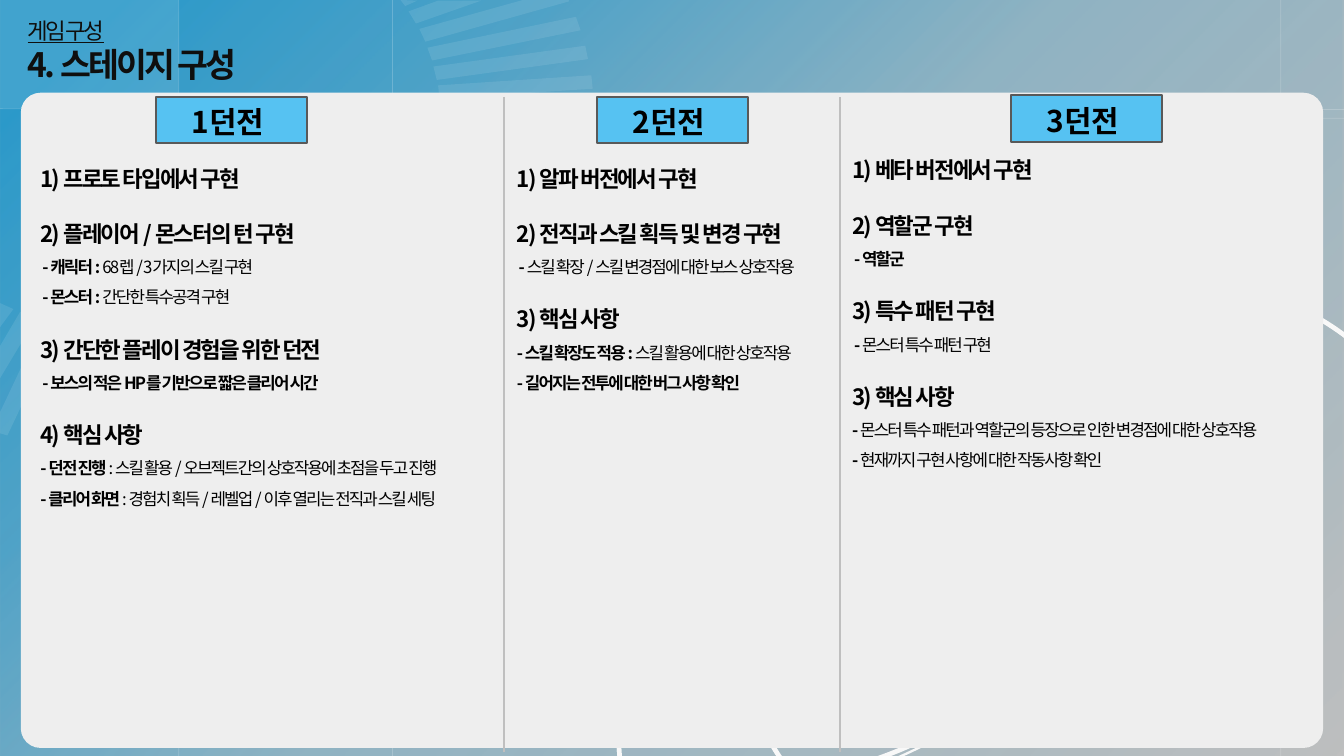
from lxml.etree import SubElement as Sub
from pptx import Presentation
from pptx.dml.color import RGBColor as RGB
from pptx.enum.shapes import MSO_CONNECTOR as Link, MSO_SHAPE as Kind
from pptx.enum.text import MSO_ANCHOR as Anchor, MSO_AUTO_SIZE as Fit, PP_ALIGN as Align
from pptx.oxml.ns import qn
from pptx.util import Inches, Pt

WIDE, HIGH = 20, 11.25
FACE = "Noto Sans CJK KR"
BLACK = RGB(0x00, 0x00, 0x00)
INK = RGB(0x0F, 0x0F, 0x0E)
WHITE = RGB(0xFF, 0xFF, 0xFF)
ICE = RGB(0xF2, 0xFA, 0xFE)
PALE = RGB(0xF8, 0xF8, 0xF8)
PANEL = RGB(0xEE, 0xEE, 0xEE)
GREY = RGB(0xBF, 0xBF, 0xBF)
DARK = RGB(0x59, 0x59, 0x59)
SKY = RGB(0x56, 0xC2, 0xF2)
BLUE = RGB(0x0F, 0x92, 0xCC)

STOPS = [(6, 83), (26, 63), (50, 27), (100, 0)]
RULES = [
    (2.66, 0, 2.66, HIGH), (5.84, 0, 5.84, HIGH), (19.06, 0, 19.06, HIGH),
    (0, 1.62, WIDE, 1.63), (12.66, 1.75, WIDE, 1.76),
]
RAYS = [
    [(5.96, 0), (6.21, 0.01), (6.03, 0.09)],
    [(6.52, 0.01), (7.16, 0.01), (6.19, 0.35), (6.08, 0.17)],
    [(8.39, -0.17), (8.47, 0.02), (6.33, 0.62), (6.24, 0.43)],
    [(8.57, 0.25), (8.64, 0.45), (6.43, 0.9), (6.36, 0.71)],
    [(8.71, 0.68), (8.75, 0.88), (6.5, 1.19), (6.45, 0.99)],
    [(8.8, 1.12), (8.82, 1.32), (6.54, 1.47), (6.52, 1.27)],
    [(0.65, 4.76), (0.89, 4.83), (0.11, 6.48), (-0.13, 6.41)],
    [(0.3, 4.64), (0.54, 4.73), (0, 5.63), (0, 5.15)],
    [(0, 4.51), (0.2, 4.6), (0, 4.87)],
]
ARCS = [
    (5, [(9.61, 12.67), (8.43, 10.29), (9.92, 6.98), (12.98, 5.19),
         (16.04, 3.41), (19.57, 3.78), (20.98, 6.04)]),
    (2, [(9.59, 12.68), (8.41, 10.29), (9.9, 6.99), (12.96, 5.2),
         (16.02, 3.41), (19.56, 3.79), (20.96, 6.05)]),
    (5, [(13.09, 5.03), (10.94, 7.01), (10.39, 9.75), (11.78, 11.51)]),
    (2.25, [(14.29, 4.12), (12.72, 5.09), (11.57, 6.54), (11.16, 8.07),
            (10.75, 9.59), (11.12, 11.02), (12.18, 11.94)]),
    (5, [(11.46, 11.6), (14.66, 11.47), (17.7, 8.35), (18.62, 4.25)]),
    (2.5, [(9.72, 11.56), (11.59, 12.12), (13.7, 11.5), (15.44, 9.89),
           (17.18, 8.29), (18.37, 5.86), (18.68, 3.3)]),
]
TAGS = [("1던전 ", 2.32, 1.44), ("2던전 ", 8.88, 1.44), ("3던전 ", 15.04, 1.42)]
LISTS = [
    ((0.5, 2.2, 7.08, 6.49), [
        ("1) 프로토 타입에서 구현", []),
        ("2) 플레이어 / 몬스터의 턴 구현", [
            (" - 캐릭터 : ", "68렙 / 3가지의 스킬 구현"),
            (" - 몬스터 : ", "간단한 특수공격 구현")]),
        ("3) 간단한 플레이 경험을 위한 던전", [
            (" - 보스의 적은 HP를 기반으로 짧은 클리어 시간", "")]),
        ("4) 핵심 사항", [
            ("- 던전 진행 ", ": 스킬 활용 / 오브젝트간의 상호작용에 초점을 두고 진행"),
            ("- 클리어 화면 ", ": 경험치 획득 / 레벨업 / 이후 열리는 전직과 스킬 세팅")]),
    ]),
    ((7.59, 2.2, 4.99, 4.23), [
        ("1) 알파 버전에서 구현", []),
        ("2) 전직과 스킬 획득 및 변경 구현", [
            (" - ", "스킬 확장 / 스킬 변경점에 대한 보스 상호작용")]),
        ("3) 핵심 사항", [
            ("- 스킬 확장도 적용 : ", "스킬 활용에 대한 상호작용"),
            ("- 길어지는 전투에 대한 버그 사항 확인", "")]),
    ]),
    ((12.58, 2.08, 7.17, 5.46), [
        ("1) 베타 버전에서 구현", []),
        ("2) 역할군 구현", [(" - 역할군", "")]),
        ("3) 특수 패턴 구현", [(" - ", "몬스터 특수 패턴 구현")]),
        ("3) 핵심 사항", [
            ("- ", "몬스터 특수 패턴과 역할군의 등장으로 인한 변경점에 대한 상호작용"),
            ("- ", "현재까지 구현 사항에 대한 작동사항 확인")]),
    ]),
]


def fade(shape, share):
    """Set the opacity of a solid fill or line, in percent."""
    for tone in shape._element.spPr.iter(qn("a:srgbClr")):
        Sub(tone, qn("a:alpha"), val=str(share * 1000))


def block(slide, kind, box, color):
    """Add a plain preset shape without outline."""
    shape = slide.shapes.add_shape(kind, *map(Inches, box))
    shape.shadow.inherit = False
    shape.fill.solid()
    shape.fill.fore_color.rgb = color
    shape.line.fill.background()
    return shape


def wash(slide):
    """Cover the slide with a diagonal fading gradient."""
    shape = block(slide, Kind.RECTANGLE, (0, 0, WIDE, HIGH), BLUE)
    shape.fill.gradient()
    grad = shape._element.spPr.find(qn("a:gradFill"))
    grad.clear()
    stops = Sub(grad, qn("a:gsLst"))
    for place, share in STOPS:
        stop = Sub(stops, qn("a:gs"), pos=str(place * 1000))
        tone = Sub(stop, qn("a:srgbClr"), val=str(BLUE))
        Sub(tone, qn("a:alpha"), val=str(share * 1000))
    Sub(grad, qn("a:lin"), ang=str(45 * 60000), scaled="0")


def rule(slide, ends, color, width):
    """Add a straight line between two points."""
    line = slide.shapes.add_connector(Link.STRAIGHT, *map(Inches, ends))
    line.line.color.rgb = color
    line.line.width = Pt(width)
    Sub(line._element.spPr, qn("a:effectLst"))
    return line


def trace(slide, points, close):
    """Add an outline through points given in inches."""
    first, *rest = [(round(x * 100), round(y * 100)) for x, y in points]
    pen = slide.shapes.build_freeform(*first, scale=Inches(0.01))
    pen.add_line_segments(rest, close=close)
    shape = pen.convert_to_shape()
    shape.shadow.inherit = False
    return shape


def ray(slide, points):
    """Add one faint stripe."""
    shape = trace(slide, points, True)
    shape.fill.solid()
    shape.fill.fore_color.rgb = ICE
    shape.line.fill.background()
    fade(shape, 10)


def arc(slide, width, knots):
    """Add one open line, each three knots making a cubic curve."""
    shape = trace(slide, knots, False)
    route = next(shape._element.iter(qn("a:path")))
    legs = route.findall(qn("a:lnTo"))
    for i in range(0, len(legs), 3):
        curve = Sub(route, qn("a:cubicBezTo"))
        for leg in legs[i:i + 3]:
            curve.append(leg[0])
            route.remove(leg)
    shape.fill.background()
    shape.line.color.rgb = PALE
    shape.line.width = Pt(width)


def style(para, size, color, bold=True, track=0):
    """Set the font of a whole paragraph."""
    font = para.font
    font.size, font.bold, font.name = Pt(size), bold, FACE
    font.color.rgb = color
    Sub(font._element, qn("a:ea"), typeface=FACE)
    font._element.set("spc", str(track * 100))
    font._element.set("kern", "0")


def tag(slide, text, left, top):
    """Add a dungeon label."""
    shape = block(slide, Kind.RECTANGLE, (left, top, 2.25, 0.69), SKY)
    shape.line.color.rgb = DARK
    shape.line.width = Pt(2)
    frame = shape.text_frame
    frame.margin_top = frame.margin_bottom = Inches(0.1)
    frame.vertical_anchor = Anchor.TOP
    para = frame.paragraphs[0]
    para.text, para.alignment = text, Align.CENTER
    style(para, 32, BLACK)


def place(slide, holder, box, anchor):
    """Move a placeholder to the front and return its text frame."""
    slide.shapes._spTree.append(holder._element)
    holder.left, holder.top, holder.width, holder.height = map(Inches, box)
    frame = holder.text_frame
    frame.word_wrap, frame.auto_size = True, Fit.NONE
    frame.vertical_anchor = anchor
    return frame


def head(slide):
    """Fill the title with its section name and heading."""
    frame = place(slide, slide.shapes.title, (0.31, 0.2, 6.27, 1.11), Anchor.MIDDLE)
    frame.text = "게임 구성\n4. 스테이지 구성"
    for para, size, main in zip(frame.paragraphs, (24, 36), (False, True)):
        para.alignment = Align.LEFT
        style(para, size, INK, main, -3)
        para.font.underline = not main


def entry(para, size, gap, bold, plain=""):
    """Write one list line with a bold and a plain part."""
    props = para._p.get_or_add_pPr()
    props.set("marL", "0")
    props.set("indent", "0")
    Sub(props, qn("a:buNone"))
    para.alignment, para.line_spacing, para.space_before = Align.LEFT, 1.5, Pt(gap)
    style(para, size, BLACK, True, -2)
    para.add_run().text = bold
    if plain:
        run = para.add_run()
        run.text, run.font.bold = plain, False


def column(slide, holder, box, parts):
    """Fill one body with headings and their details."""
    frame = place(slide, holder, box, Anchor.TOP)
    for i, (title, lines) in enumerate(parts):
        para = frame.add_paragraph() if i else frame.paragraphs[0]
        entry(para, 24, 16 if i else 0, title)
        for line in lines:
            entry(frame.add_paragraph(), 18, 0, *line)


def main():
    """Build the slide and save it."""
    deck = Presentation()
    deck.slide_width, deck.slide_height = Inches(WIDE), Inches(HIGH)
    slide = deck.slides.add_slide(deck.slide_layouts[4])
    bodies = list(slide.placeholders)[1:]
    spare = bodies.pop()._element
    spare.getparent().remove(spare)
    slide.background.fill.solid()
    slide.background.fill.fore_color.rgb = GREY
    wash(slide)
    fade(block(slide, Kind.RECTANGLE, (0, 0, 2.66, 1.62), WHITE), 10)
    for ends in RULES:
        fade(rule(slide, ends, WHITE, 0.75), 20)
    for points in RAYS:
        ray(slide, points)
    for width, knots in ARCS:
        arc(slide, width, knots)
    panel = block(slide, Kind.ROUNDED_RECTANGLE, (0.31, 1.38, 19.38, 9.75), PANEL)
    panel.adjustments[0] = 0.03
    for x in (7.5, 12.5):
        rule(slide, (x, 1.44, x, 11.19), GREY, 2.25)
    for label in TAGS:
        tag(slide, *label)
    head(slide)
    for holder, (box, parts) in zip(bodies, LISTS):
        column(slide, holder, box, parts)
    deck.save("out.pptx")


if __name__ == "__main__":
    main()
